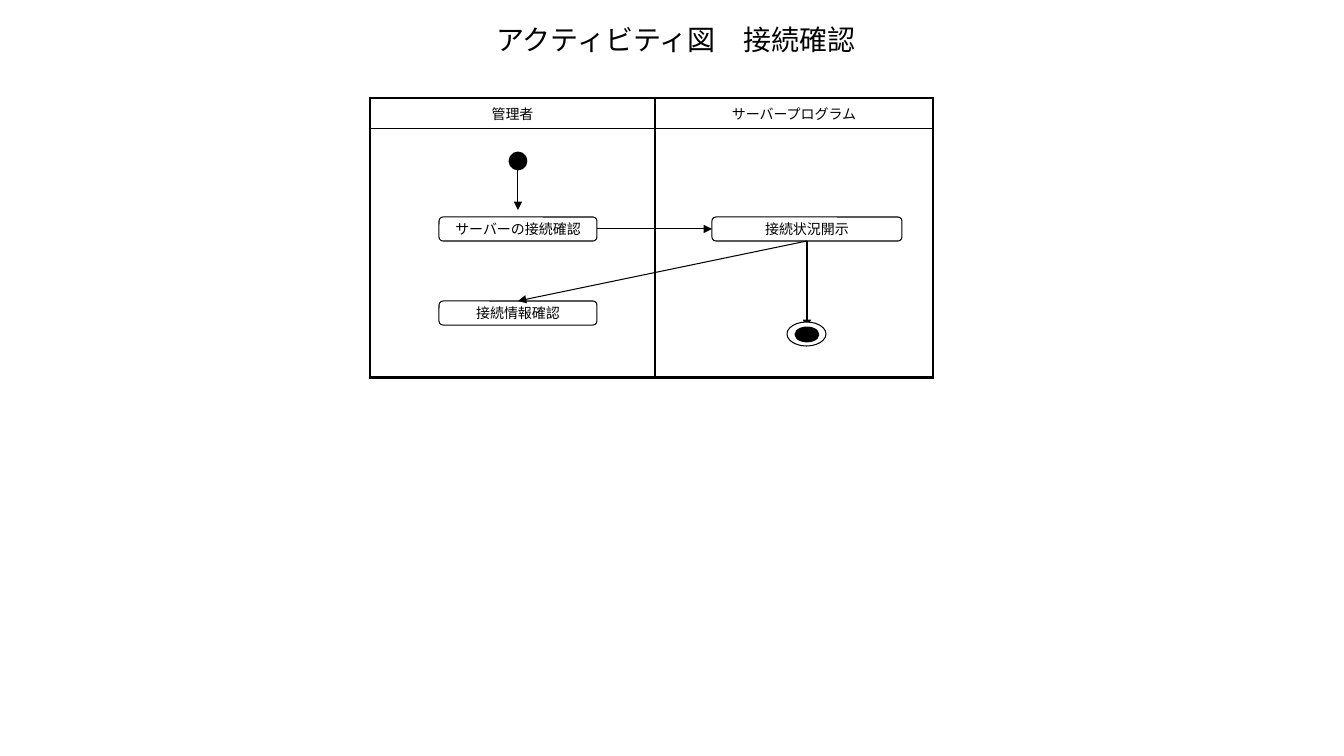
import dataclasses

import lxml.etree
import pptx
import pptx.dml.color
import pptx.enum.shapes
import pptx.enum.text
import pptx.oxml.ns
import pptx.util

SHAPES = pptx.enum.shapes.MSO_SHAPE
TOP, LEFT, BOTTOM, RIGHT = range(4)


@dataclasses.dataclass(frozen=True)
class Theme:
    font: str = "Times New Roman"
    ink: str = "000000"
    paper: str = "FFFFFF"
    title_size: float = 20
    label_size: float = 10
    label_gap: float = 2
    thin: float = 0.75
    inner: float = 1
    dot: float = 2
    outer: float = 2.25


THEME = Theme()


def px(length):
    return pptx.util.Emu(round(length * 914400 / 100.8))


def rgb(value):
    return pptx.dml.color.RGBColor.from_string(value)


def add_child(parent, tag, **attributes):
    return lxml.etree.SubElement(parent, pptx.oxml.ns.qn(tag), attributes)


def write(frame, text, size):
    para = frame.paragraphs[0]
    para.alignment = pptx.enum.text.PP_ALIGN.CENTER
    span = para.add_run()
    span.text = text
    span.font.name = THEME.font
    span.font.size = pptx.util.Pt(size)
    span.font.color.rgb = rgb(THEME.ink)
    return para


def set_title(page, text, bounds):
    title = page.shapes.title
    title.left, title.top, title.width, title.height = map(px, bounds)
    title.text_frame.vertical_anchor = pptx.enum.text.MSO_ANCHOR.MIDDLE
    write(title.text_frame, text, THEME.title_size)


def add_figure(shapes, kind, bounds, fill, weight):
    figure = shapes.add_shape(kind, *map(px, bounds))
    figure.shadow.inherit = False
    figure.fill.solid()
    figure.fill.fore_color.rgb = rgb(fill)
    figure.line.color.rgb = rgb(THEME.ink)
    figure.line.width = pptx.util.Pt(weight)
    return figure


def add_action(page, text, bounds):
    box = add_figure(page.shapes, SHAPES.ROUNDED_RECTANGLE, bounds, THEME.paper, THEME.thin)
    box.text_frame.word_wrap = False
    box.text_frame.vertical_anchor = pptx.enum.text.MSO_ANCHOR.MIDDLE
    write(box.text_frame, text, THEME.label_size)
    return box


def add_dot(shapes, bounds):
    return add_figure(shapes, SHAPES.OVAL, bounds, THEME.ink, THEME.dot)


def add_final_node(page):
    group = page.shapes.add_group_shape()
    add_figure(group.shapes, SHAPES.OVAL, (787, 322, 39, 24), THEME.paper, THEME.thin)
    add_dot(group.shapes, (796, 328, 22, 13))


def add_arrow(page, source, source_side, target=None, target_side=TOP, end=(0, 0)):
    arrow = page.shapes.add_connector(
        pptx.enum.shapes.MSO_CONNECTOR.STRAIGHT, 0, 0, *map(px, end))
    arrow.begin_connect(source, source_side)
    if target is not None:
        arrow.end_connect(target, target_side)
    arrow.line.color.rgb = rgb(THEME.ink)
    arrow.line.width = pptx.util.Pt(THEME.thin)
    properties = arrow.element.spPr
    add_child(properties.find(pptx.oxml.ns.qn("a:ln")), "a:tailEnd", type="triangle")
    add_child(properties, "a:effectLst")


def set_borders(cell, outer_sides):
    properties = cell._tc.get_or_add_tcPr()
    for side in "LRTB":
        weight = THEME.outer if side in outer_sides else THEME.inner
        line = add_child(properties, f"a:ln{side}", w=str(pptx.util.Pt(weight)))
        add_child(add_child(line, "a:solidFill"), "a:srgbClr", val=THEME.ink)
    cell.fill.background()


def add_swimlanes(page, names, left, top, widths, heights):
    frame = page.shapes.add_table(
        len(heights), len(widths), px(left), px(top), px(sum(widths)), px(sum(heights)))
    table = frame.table
    table.first_row = table.horz_banding = False
    for column, width in zip(table.columns, widths):
        column.width = px(width)
    for row, height in zip(table.rows, heights):
        row.height = px(height)
    for row, row_side in enumerate("TB"):
        for column, column_side in enumerate("LR"):
            set_borders(table.cell(row, column), row_side + column_side)
    for column, name in enumerate(names):
        para = write(table.cell(0, column).text_frame, name, THEME.label_size)
        para.space_before = pptx.util.Pt(THEME.label_gap)


def main():
    deck = pptx.Presentation()
    deck.slide_width, deck.slide_height = px(1344), px(756)
    page = deck.slides.add_slide(deck.slide_layouts[5])
    set_title(page, "アクティビティ図　接続確認", (172, 19, 1008, 41))
    add_swimlanes(page, ("管理者", "サーバープログラム"), 370, 98, (285, 278), (27, 249))

    check = add_action(page, "サーバーの接続確認", (439, 217, 158, 24))
    disclose = add_action(page, "接続状況開示", (712, 217, 190, 24))
    add_arrow(page, check, RIGHT, disclose, LEFT)
    start = add_dot(page.shapes, (510, 153, 16, 16))
    add_arrow(page, start, TOP, end=(518, 210))
    add_arrow(page, disclose, BOTTOM, end=(807, 328))
    add_final_node(page)
    confirm = add_action(page, "接続情報確認", (439, 301, 158, 24))
    add_arrow(page, disclose, BOTTOM, confirm, TOP)
    deck.save("out.pptx")


main()
